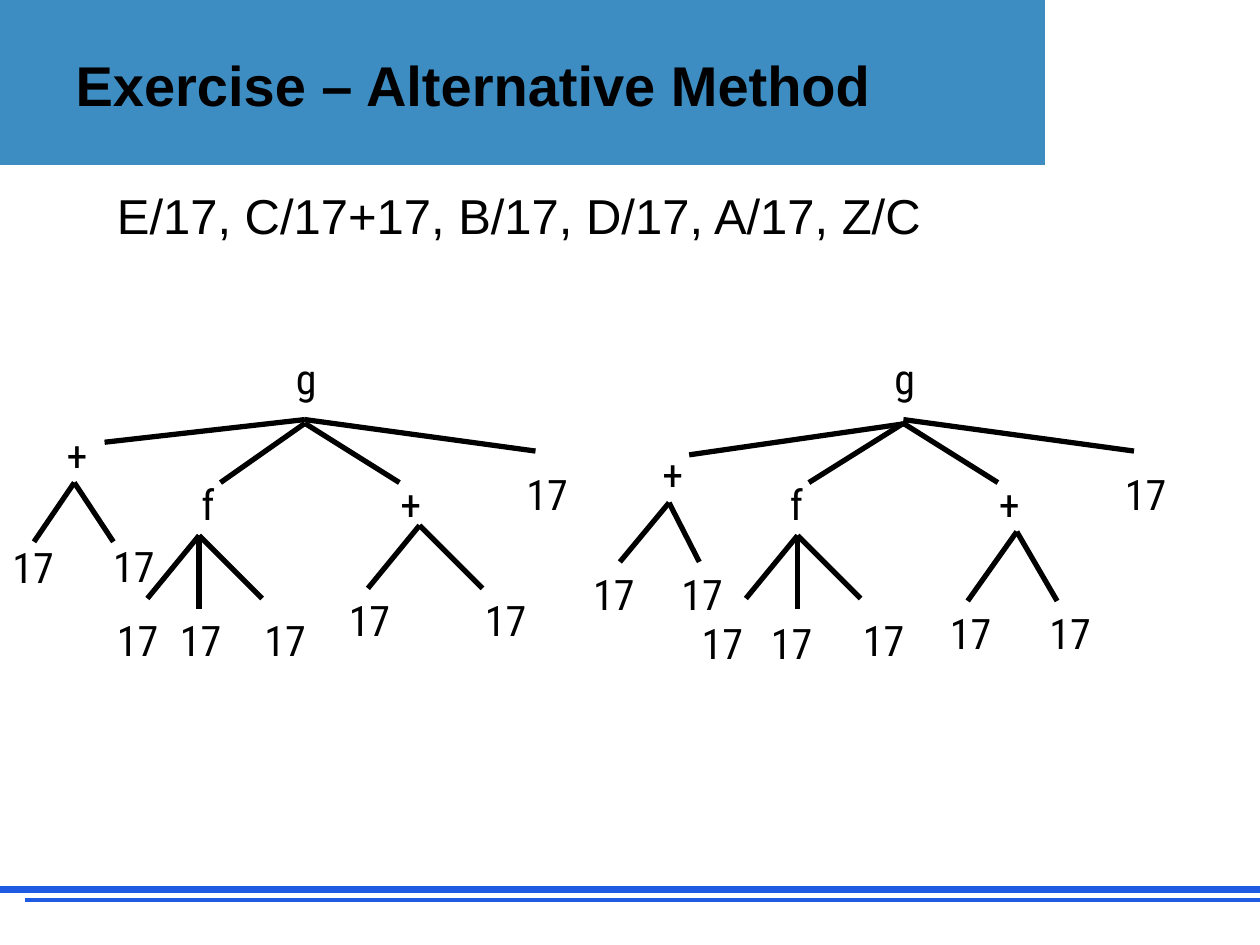
from dataclasses import dataclass

from pptx import Presentation
from pptx.dml.color import RGBColor
from pptx.enum.shapes import MSO_CONNECTOR as Connector, MSO_SHAPE as Shape
from pptx.enum.text import MSO_ANCHOR as Anchor, MSO_AUTO_SIZE as AutoSize, PP_ALIGN as Align
from pptx.oxml.xmlchemy import OxmlElement
from pptx.util import Inches, Pt


@dataclass(frozen=True)
class Theme:
    band: str = "3D8DC3"
    rule: str = "1E5BE2"
    paper: str = "FFFFFF"
    ink: str = "000000"
    heading_font: str = "Arial"
    node_font: str = "Roboto Condensed"
    title_size: int = 32
    body_size: int = 28
    node_size: int = 24
    edge_width: int = 3


class TreeSlide:
    """Places elements on a grid of 100 columns by 75 rows."""

    def __init__(self, presentation, theme):
        self.theme = theme
        self.column = presentation.slide_width / 100
        self.row = presentation.slide_height / 75
        self.slide = presentation.slides.add_slide(presentation.slide_layouts[5])
        self.shapes = self.slide.shapes

    def box(self, left, top, width, height):
        return (round(left * self.column), round(top * self.row),
                round(width * self.column), round(height * self.row))

    def fill_text(self, shape, text, font, frame_format):
        frame = shape.text_frame
        for name, value in frame_format.items():
            setattr(frame, name, value)
        paragraph = frame.paragraphs[0]
        paragraph.alignment = Align.LEFT
        run = paragraph.add_run()
        run.text = text
        for name, value in font.items():
            setattr(run.font, name, value)
        run.font.color.rgb = RGBColor.from_string(self.theme.ink)
        return paragraph

    def title(self, text, *place):
        shape = self.shapes.title
        shape.left, shape.top, shape.width, shape.height = self.box(*place)
        font = {"name": self.theme.heading_font, "size": Pt(self.theme.title_size), "bold": True}
        self.fill_text(shape, text, font, {"vertical_anchor": Anchor.MIDDLE, "word_wrap": True,
                                           "auto_size": AutoSize.NONE})
        # The title stands in front of the band
        self.shapes._spTree.append(shape._element)

    def body(self, text, *place):
        shape = self.shapes.add_textbox(*self.box(*place))
        font = {"name": self.theme.heading_font, "size": Pt(self.theme.body_size)}
        paragraph = self.fill_text(shape, text, font, {"word_wrap": True})
        paragraph.space_before = Pt(0.2 * self.theme.body_size)

    def panel(self, color, *place, outline=None):
        shape = self.shapes.add_shape(Shape.RECTANGLE, *self.box(*place))
        shape.shadow.inherit = False
        shape.fill.solid()
        shape.fill.fore_color.rgb = RGBColor.from_string(color)
        if outline:
            shape.line.color.rgb = RGBColor.from_string(color)
            shape.line.width = Pt(outline)
        else:
            shape.line.fill.background()

    def line(self, start, end, color, width):
        points = [round(value * unit) for point in (start, end)
                  for value, unit in zip(point, (self.column, self.row))]
        connector = self.shapes.add_connector(Connector.STRAIGHT, *points)
        connector.line.color.rgb = RGBColor.from_string(color)
        connector.line.width = Pt(width)
        connector._element.spPr.append(OxmlElement("a:effectLst"))

    def fan(self, apex, *ends):
        for end in ends:
            self.line(apex, end, self.theme.ink, self.theme.edge_width)

    def node(self, text, left, top, width=None):
        width = width or NODE_WIDTHS[text]
        shape = self.shapes.add_textbox(*self.box(left, top, width, 5))
        font = {"name": self.theme.node_font, "size": Pt(self.theme.node_size)}
        self.fill_text(shape, text, font, {"word_wrap": text in ("g", "17"),
                                           "auto_size": AutoSize.SHAPE_TO_FIT_TEXT})

    def shared_tree(self, shift):
        """Draws the nodes and edges that both trees have in common."""
        for text, left, top in SHARED_NODES:
            self.node(text, left + shift, top)
        for apex, *ends in SHARED_FANS:
            self.fan(*((x + shift, y) for x, y in (apex, *ends)))


NODE_WIDTHS = {"g": 5, "f": 2.8, "+": 4, "17": 5.7}
TREE_SHIFTS = (0, 47.5)

SHARED_NODES = [("g", 22.5, 27.5), ("+", 30.8, 37.5), ("17", 40.8, 36.7)]
SHARED_FANS = [
    [(24.2, 33.6), (31.7, 38.3)],
    [(24.2, 33.3), (42.5, 35.8)],
    [(15.8, 42.5), (11.7, 47.5), (20.8, 47.5), (15.8, 48.3)],
]

# Parts that belong to only one tree: left tree, then right tree
OWN_NODES = [
    ("+", 4.3, 33.6), ("f", 15, 37.5),
    ("17", 0, 42.5), ("17", 8, 42.4),
    ("17", 8.3, 48.3, 6.6), ("17", 13.3, 48.3), ("17", 20, 48.3),
    ("17", 26.7, 46.7), ("17", 37.5, 46.7),
    ("+", 51.6, 35.1), ("f", 61.7, 37.5),
    ("17", 46.1, 44.6), ("17", 53.1, 44.6),
    ("17", 54.7, 48.5, 7.9), ("17", 60.2, 48.5, 7.1), ("17", 67.5, 48.3, 5.8),
    ("17", 74.4, 47.7), ("17", 82.3, 47.7),
]
OWN_FANS = [
    [(24.2, 33.3), (8.3, 35.1)],
    [(24.2, 33.6), (17.5, 38.3)],
    [(5.9, 38.3), (2.7, 43), (9, 43)],
    [(33.3, 41.7), (29.2, 46.7), (38.3, 46.7)],
    [(72, 33.6), (54.7, 36.1)],
    [(71.7, 33.6), (64.2, 38.3)],
    [(53.1, 39.9), (49.2, 44.6), (55.5, 44.6)],
    [(80.7, 42.2), (76.8, 47.7), (83.9, 47.7)],
]

theme = Theme()
presentation = Presentation()
presentation.slide_width, presentation.slide_height = Inches(10), Inches(7.5)
page = TreeSlide(presentation, theme)

# Band, footer rules and white corner
page.panel(theme.band, 0, 0, 100, 13.1)
page.line((0, 70.6), (100, 70.6), theme.rule, 4.5)
page.line((2, 71.4), (100, 71.4), theme.rule, 2.25)
page.panel(theme.paper, 83.1, 0, 16.9, 13.9, outline=2)

# Heading and substitution list
page.title("Exercise – Alternative Method", 5, 1.3, 68.6, 10.8)
page.body("E/17, C/17+17, B/17, D/17, A/17, Z/C", 8.3, 14.2, 85, 10.8)

# Expression trees
for shift in TREE_SHIFTS:
    page.shared_tree(shift)
for node in OWN_NODES:
    page.node(*node)
for fan in OWN_FANS:
    page.fan(*fan)

presentation.save("out.pptx")
